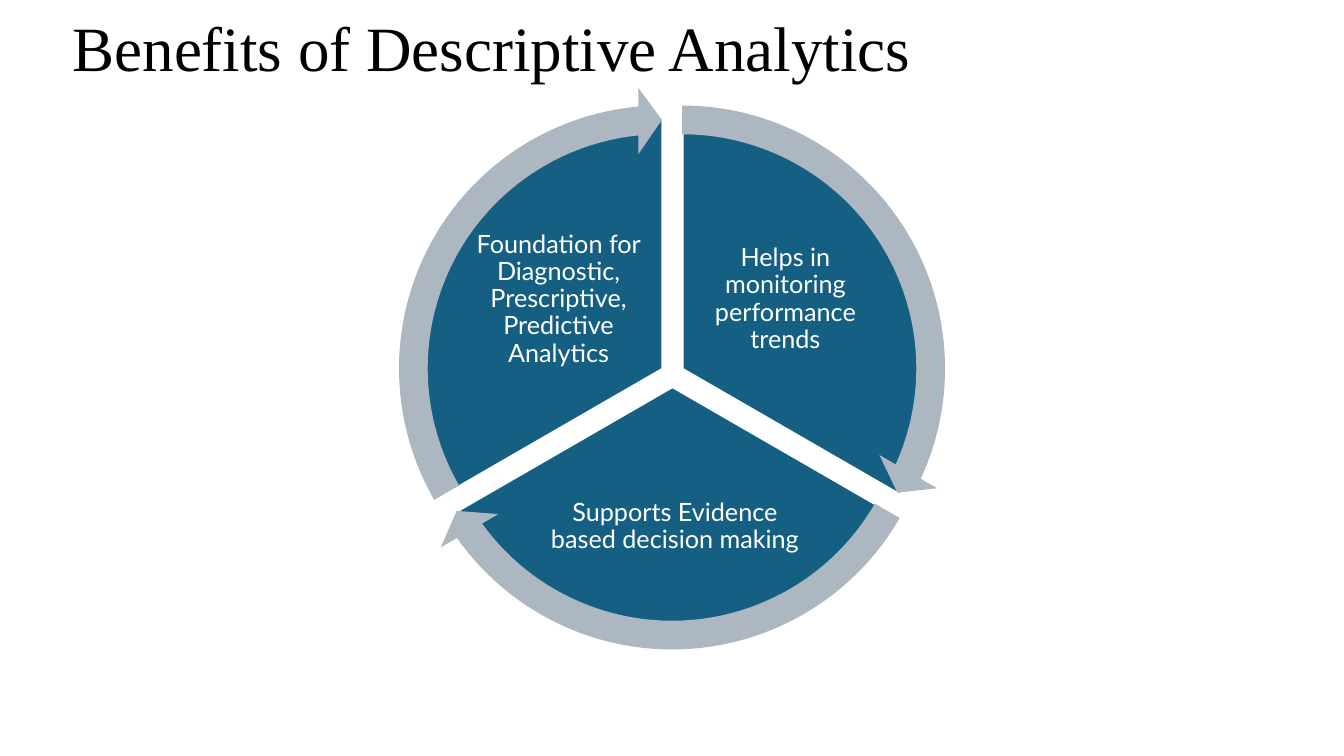
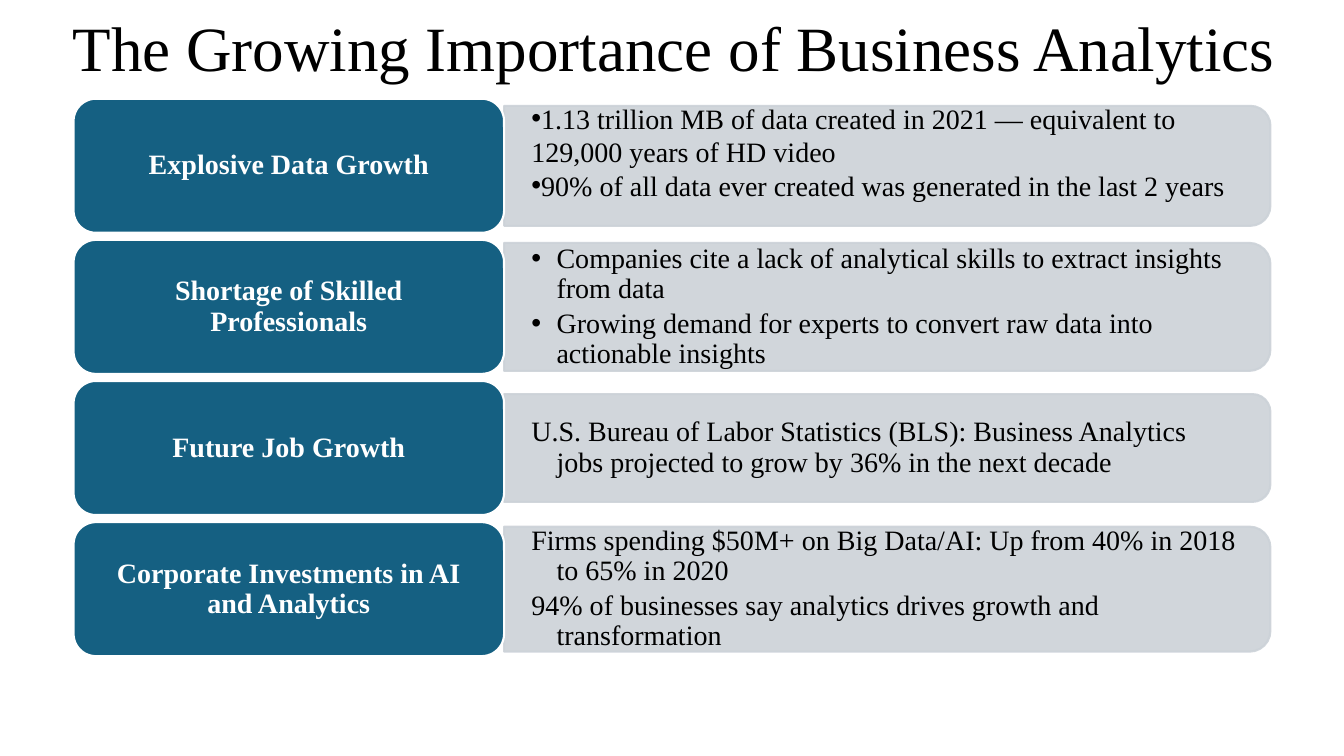
from pptx import Presentation
from pptx.dml.color import RGBColor
from pptx.enum import shapes, text
from pptx.oxml.ns import qn
from pptx.util import Inches, Pt
from lxml import etree

COLORS = {"teal": "156082", "arrow": "ACB7C1", "bar": "CCD2D8",
          "white": "FFFFFF", "black": "000000"}
SERIF, SANS = "Times New Roman", "Lato"

prs = Presentation()
prs.slide_width, prs.slide_height = Inches(13.33), Inches(7.5)


def add_figure(s, kind, box, fill, line=None, alpha=None):
    """Filled preset shape; alpha (percent) applies to fill and line."""
    sp = s.shapes.add_shape(kind, *[Inches(v) for v in box])
    sp.shadow.inherit = False
    sp.fill.solid()
    sp.fill.fore_color.rgb = RGBColor.from_string(COLORS[fill])
    if line:
        sp.line.color.rgb = RGBColor.from_string(COLORS[line])
        sp.line.width = Pt(1.5)
    else:
        sp.line.fill.background()
    if alpha:
        for clr in sp._element.spPr.iter(qn("a:srgbClr")):
            etree.SubElement(clr, qn("a:alpha"), val=str(alpha * 1000))
    return sp


def write(sp, lines, size, font, color, margins, align=text.PP_ALIGN.CENTER,
          bold=False, spacing=0.9, bullet=False, left=0, indent=0):
    """Middle-anchored paragraphs; margins are left, top, right, bottom."""
    tf = sp.text_frame
    tf.word_wrap = True
    tf.auto_size = text.MSO_AUTO_SIZE.NONE
    tf.vertical_anchor = text.MSO_ANCHOR.MIDDLE
    tf.margin_left, tf.margin_top, tf.margin_right, tf.margin_bottom = [
        Inches(m) for m in margins]
    for i, line in enumerate(lines):
        p = tf.paragraphs[0] if i == 0 else tf.add_paragraph()
        p.alignment = align
        p.line_spacing = spacing
        if i and spacing < 1:
            p.space_before = Pt(3)
        pPr = p._p.get_or_add_pPr()
        pPr.set("marL", str(Inches(left)))
        pPr.set("indent", str(Inches(indent)))
        if bullet:
            etree.SubElement(pPr, qn("a:buFont"), typeface="Arial")
            etree.SubElement(pPr, qn("a:buChar"), char="•")
        r = p.add_run()
        r.text = line
        r.font.size, r.font.name, r.font.bold = Pt(size), font, bold
        r.font.color.rgb = RGBColor.from_string(COLORS[color])


# Both slides: title across the top
slides = []
for title in ("Benefits of Descriptive Analytics",
              "The Growing Importance of Business Analytics"):
    s = prs.slides.add_slide(prs.slide_layouts[5])
    sp = s.shapes.title
    sp.left, sp.top = Inches(0), Inches(-0.03)
    sp.width, sp.height = Inches(13.33), Inches(0.92)
    write(sp, [title], 45, SERIF, "black", (0.72, 0.05, 0.1, 0.05),
          text.PP_ALIGN.LEFT)
    sp.text_frame.vertical_anchor = text.MSO_ANCHOR.BOTTOM
    slides.append(s)
cycle, growth = slides

# Slide 1: cycle of three sectors (left, top, start and end angle, text, text box)
PIE, ARROW, OVERHANG, HEAD = 4.98, 5.59, 0.31, 3.275
sectors = [
    (4.28, 1.17, 162, 18, "Helps in monitoring performance trends",
     (6.9, 2.23, 1.78, 1.48)),
    (4.18, 1.35, 18, 90, "Supports Evidence based decision making",
     (5.36, 4.58, 2.67, 1.3)),
    (4.08, 1.17, 90, 162,
     "Foundation for Diagnostic, Prescriptive, Predictive Analytics",
     (4.65, 2.23, 1.78, 1.48)),
]
for x, y, start, end, label, box in sectors:
    sp = add_figure(cycle, shapes.MSO_SHAPE.PIE, (x, y, PIE, PIE), "teal", "white")
    sp.adjustments[0], sp.adjustments[1] = start, end
    tb = cycle.shapes.add_textbox(*[Inches(v) for v in box])
    write(tb, [label], 18, SANS, "white", (0.03,) * 4)

# Arrows around the sectors
for x, y, start, end, label, box in sectors:
    sp = add_figure(cycle, shapes.MSO_SHAPE.CIRCULAR_ARROW,
                    (x - OVERHANG, y - OVERHANG, ARROW, ARROW), "arrow")
    for i, value in enumerate((0.051, HEAD, end - HEAD, start, 0.059)):
        sp.adjustments[i] = value

# Slide 2: four rows (label, bar height, details, bottom margin, paragraph format)
hanging = {"left": 0.25, "indent": -0.25}
rows = [
    ("Explosive Data Growth", 1.19,
     ["1.13 trillion MB of data created in 2021 — equivalent to 129,000 years of HD video",
      "90% of all data ever created was generated in the last 2 years"],
     0.28, {"bullet": True, "spacing": 1.0}),
    ("Shortage of Skilled Professionals", 1.27,
     ["Companies cite a lack of analytical skills to extract insights from data",
      "Growing demand for experts to convert raw data into actionable insights"],
     0, {"bullet": True, **hanging}),
    ("Future Job Growth", 1.07,
     ["U.S. Bureau of Labor Statistics (BLS): Business Analytics jobs projected "
      "to grow by 36% in the next decade"],
     0, hanging),
    ("Corporate Investments in AI and Analytics", 1.24,
     ["Firms spending $50M+ on Big Data/AI: Up from 40% in 2018 to 65% in 2020",
      "94% of businesses say analytics drives growth and transformation"],
     0, hanging),
]
TOP, PITCH, ROW_H = 0.98, 1.4, 1.33
LABEL_X, LABEL_W, BAR_X, BAR_W = 0.73, 4.27, 5, 7.6
for i, (label, bar_h, details, bottom, fmt) in enumerate(rows):
    y = TOP + i * PITCH
    mid_x, mid_y = BAR_X + BAR_W / 2, y + ROW_H / 2
    # Bar, turned so that its rounded corners face right
    bar = add_figure(growth, shapes.MSO_SHAPE.ROUND_2_SAME_RECTANGLE,
                     (mid_x - bar_h / 2, mid_y - BAR_W / 2, bar_h, BAR_W),
                     "bar", "bar", 90)
    bar.rotation = 90
    tb = growth.shapes.add_textbox(Inches(BAR_X), Inches(y), Inches(7.54), Inches(ROW_H))
    write(tb, details, 20, SERIF, "black", (0.27, 0, 0.27, bottom),
          text.PP_ALIGN.LEFT, **fmt)
    # Label
    sp = add_figure(growth, shapes.MSO_SHAPE.ROUNDED_RECTANGLE,
                    (LABEL_X, y, LABEL_W, ROW_H), "teal", "white")
    write(sp, [label], 20, SERIF, "white", (0.14, 0.1, 0.14, 0.1), bold=True)

prs.save("out.pptx")
